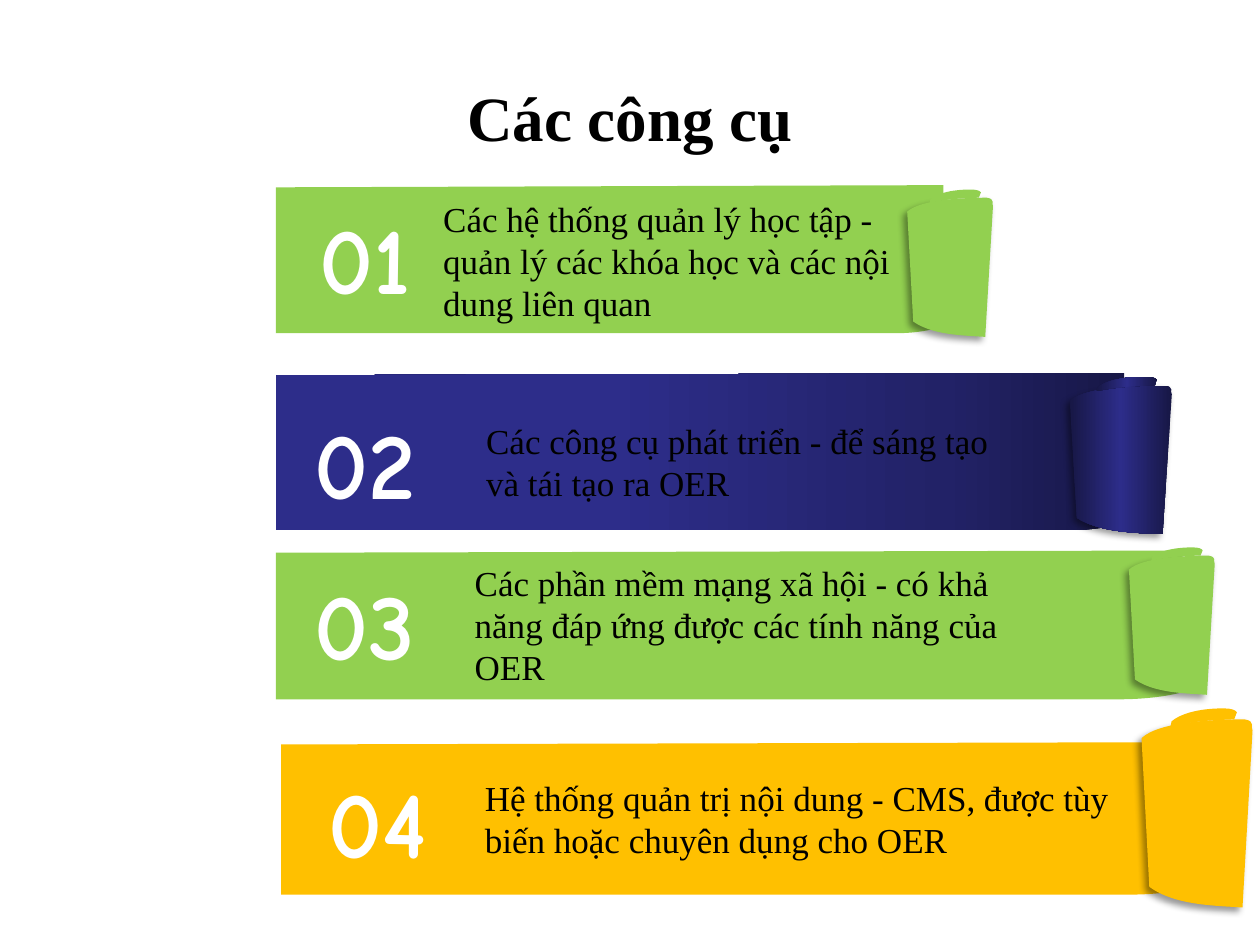
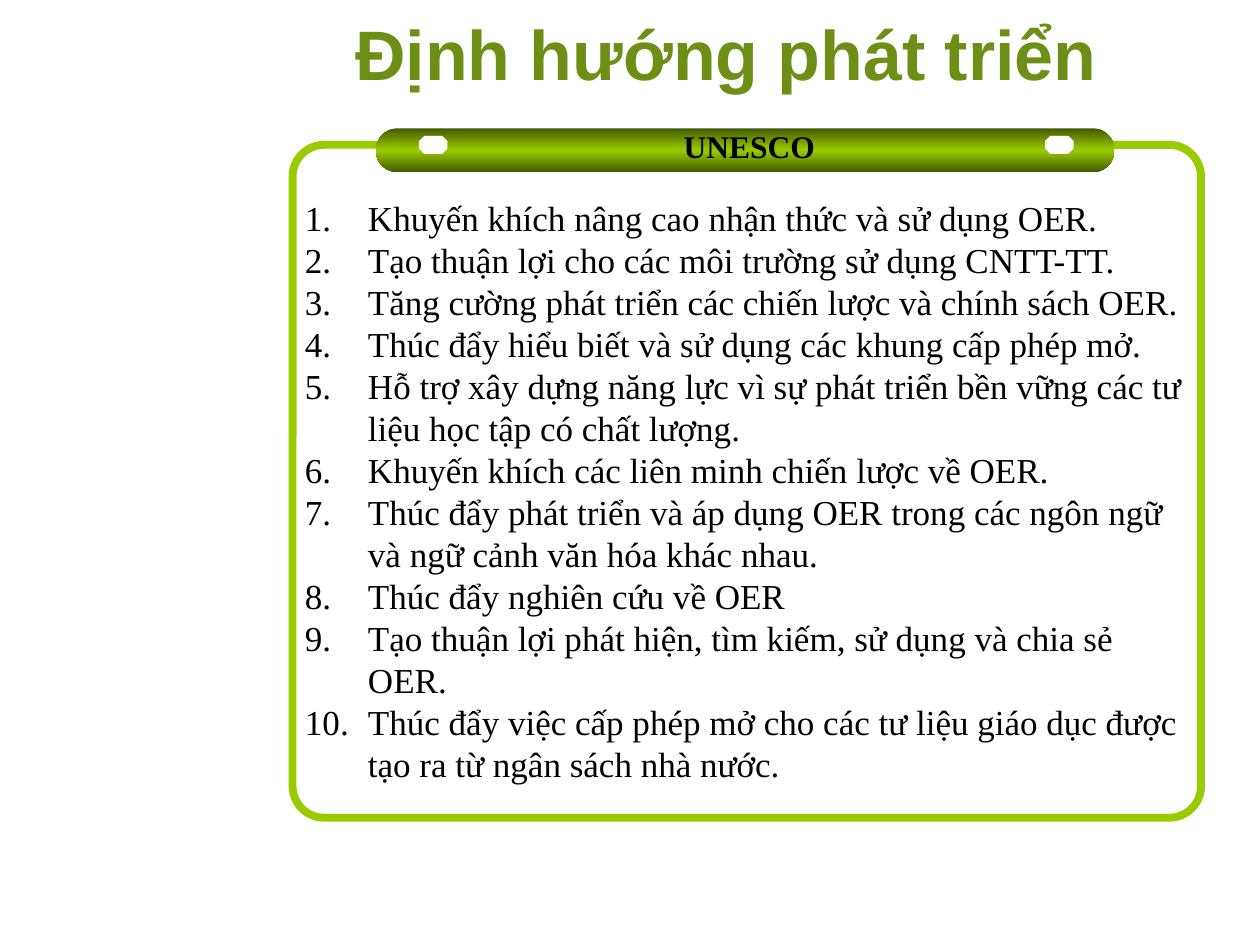
from pptx import Presentation
from pptx.dml.color import RGBColor
from pptx.enum.shapes import MSO_SHAPE
from pptx.enum.text import MSO_ANCHOR, PP_ALIGN
from pptx.oxml import parse_xml
from pptx.oxml.ns import nsdecls, qn
from pptx.util import Pt

SERIF, SANS, ROUND = "Times New Roman", "Arial", "Comic Neue"
BLACK, WHITE, OLIVE = "000000", "FFFFFF", "6E8F15"
LEAF, GOLD, LIME, MOSS = "92D050", "FFC000", "99CC00", "435900"
NIGHT, DUSK, NAVY = "171745", "222267", "2D2D8A"

# Outlines in fractions of their box: a pair is a corner, six numbers a curve.
BAND = [(0, .015), (0, 1), (.92, 1), (.96, 1, .99, .96, 1, .93),
        (1, .62, .99, .31, .99, 0)]
CURL = [(.91, 1), (.67, .99, .3, .99, .07, .89), (0, .1),
        (.16, .01, .67, 0, .93, 0), (1.03, .01, .98, .04, 1, .06)]
FLAP = [(0, 1), (.02, .7), (.25, .03, .7, 0, .83, .02),
        (.91, .02, .98, .1, 1, .22), (.96, .6), (.72, .63, .32, .67, 0, 1)]

NAVY_BAND = [(0, NIGHT), (22, DUSK), (61, NAVY)]
NAVY_CURL = [(0, NIGHT), (50, NAVY), (100, NIGHT)]

# Band box; then number, text and curl boxes relative to the band.
TOOLS = [
    ("01", "Các hệ thống quản lý học tập - quản lý các khóa học và các nội "
     "dung liên quan", LEAF, LEAF, (157.7, 105.8, 385.2, 84.6),
     (10, 4.3), (88.5, 2.9, 272.2, 79.9), (360.7, 7.2, 49, 79.5)),
    ("02", "Các công cụ phát triển - để sáng tạo và tái tạo ra OER",
     NAVY_BAND, NAVY_CURL, (157.7, 213.1, 489.6, 90),
     (10, 14.4), (113, 23.1, 321.1, 55.4), (453.6, 7.2, 58.3, 85)),
    ("03", "Các phần mềm mạng xã hội - có khả năng đáp ứng được các tính "
     "năng của OER", LEAF, LEAF, (157.7, 314.6, 523.4, 85),
     (10, 4.6), (106.5, 2.2, 321.1, 79.9), (487.4, 2.9, 49, 79.5)),
    ("04", "Hệ thống quản trị nội dung - CMS, được tùy biến hoặc chuyên "
     "dụng cho OER", GOLD, GOLD, (160.6, 424.1, 527, 87.1),
     (14.6, 8.7), (109.4, 15.8, 374.4, 55.4), (491.7, -13, 63.4, 107.5)),
]

GOALS = [
    "Khuyến khích nâng cao nhận thức và sử dụng OER.",
    "Tạo thuận lợi cho các môi trường sử dụng CNTT-TT.",
    "Tăng cường phát triển các chiến lược và chính sách OER.",
    "Thúc đẩy hiểu biết và sử dụng các khung cấp phép mở.",
    "Hỗ trợ xây dựng năng lực vì sự phát triển bền vững các tư liệu học tập "
    "có chất lượng.",
    "Khuyến khích các liên minh chiến lược về OER.",
    "Thúc đẩy phát triển và áp dụng OER trong các ngôn ngữ và ngữ cảnh văn "
    "hóa khác nhau.",
    "Thúc đẩy nghiên cứu về OER",
    "Tạo thuận lợi phát hiện, tìm kiếm, sử dụng và chia sẻ OER.",
    "Thúc đẩy việc cấp phép mở cho các tư liệu giáo dục được tạo ra từ ngân "
    "sách nhà nước.",
]


def color(code):
    return RGBColor.from_string(code)


def inset(box, part):
    """Turn a part's box, relative to another box, into slide points."""
    return (box[0] + part[0], box[1] + part[1], *part[2:])


def paint(shape, fill, angle=180):
    """Fill with a colour or with (percent, colour) stops; no line."""
    shape.shadow.inherit = False
    shape.line.fill.background()
    if isinstance(fill, str):
        shape.fill.solid()
        shape.fill.fore_color.rgb = color(fill)
        return
    shape.fill.gradient()
    shape.fill.gradient_angle = angle
    stops = shape.element.spPr.find(qn("a:gradFill")).find(qn("a:gsLst"))
    for old in list(stops):
        stops.remove(old)
    for spot, code in fill:
        stops.append(parse_xml(
            f'<a:gs {nsdecls("a")} pos="{spot * 1000}">'
            f'<a:srgbClr val="{code}"/></a:gs>'))


def shade(shape):
    """Cast a soft shadow down and to the left."""
    effects = shape.element.spPr.find(qn("a:effectLst"))
    effects.append(parse_xml(
        f'<a:outerShdw {nsdecls("a")} blurRad="{Pt(4)}" dist="{Pt(3)}" '
        f'dir="{135 * 60000}" algn="tr" rotWithShape="0">'
        f'<a:srgbClr val="{BLACK}"><a:alpha val="40000"/></a:srgbClr>'
        '</a:outerShdw>'))


def bend(shape, steps):
    """Redraw the shape's outline with corners and cubic curves."""
    route = next(shape.element.iter(qn("a:path")))
    w, h = int(route.get("w")), int(route.get("h"))
    for old in list(route):
        route.remove(old)
    for i, step in enumerate(steps):
        tag = "cubicBezTo" if len(step) == 6 else "lnTo" if i else "moveTo"
        points = "".join(f'<a:pt x="{round(a * w)}" y="{round(b * h)}"/>'
                         for a, b in zip(step[::2], step[1::2]))
        route.append(parse_xml(
            f'<a:{tag} {nsdecls("a")}>{points}</a:{tag}>'))
    route.append(parse_xml(f'<a:close {nsdecls("a")}/>'))


def outline(slide, steps, box, fill):
    x, y, w, h = map(Pt, box)
    pen = slide.shapes.build_freeform(x, y)
    pen.add_line_segments([(x + w, y), (x + w, y + h), (x, y + h)])
    shape = pen.convert_to_shape()
    bend(shape, steps)
    paint(shape, fill)
    return shape


def preset(slide, kind, box, adjust):
    shape = slide.shapes.add_shape(kind, *map(Pt, box))
    shape.adjustments[0] = adjust
    shape.shadow.inherit = False
    return shape


def write(slide, box, lines, size, font=SERIF, ink=BLACK, bold=False,
          align=PP_ALIGN.LEFT, anchor=MSO_ANCHOR.MIDDLE, numbered=False):
    frame = slide.shapes.add_textbox(*map(Pt, box)).text_frame
    frame.word_wrap = True
    frame.vertical_anchor = anchor
    for i, line in enumerate(lines):
        para = frame.add_paragraph() if i else frame.paragraphs[0]
        para.alignment = align
        if numbered:
            props = para._p.get_or_add_pPr()
            props.set("marL", str(Pt(36)))
            props.set("indent", str(-Pt(36)))
            props.append(parse_xml(
                f'<a:buAutoNum {nsdecls("a")} type="arabicPeriod"/>'))
        run = para.add_run()
        run.text = line
        run.font.name = font
        run.font.size = Pt(size)
        run.font.bold = bold
        run.font.color.rgb = color(ink)


def ribbon(slide, tool):
    number, text, fill, roll, box, spot, area, curl = tool
    outline(slide, BAND, box, fill)
    x, y, w, h = curl = inset(box, curl)
    shade(outline(slide, CURL, curl, roll))
    outline(slide, FLAP, (x + .26 * w, y - .06 * h, .6 * w, .1 * h), roll)
    write(slide, inset(box, (*spot, 81.4, 72.7)), [number], 54, ROUND, WHITE,
          bold=True, align=PP_ALIGN.CENTER)
    write(slide, inset(box, area), [text], 20)


def panel(slide, box, head, items):
    frame = preset(slide, MSO_SHAPE.ROUNDED_RECTANGLE, box, .047)
    frame.fill.background()
    frame.line.color.rgb = color(LIME)
    frame.line.width = Pt(4.5)
    bar = preset(slide, MSO_SHAPE.ROUNDED_RECTANGLE,
                 inset(box, (47.6, -9.5, 422, 25.2)), .5)
    paint(bar, [(0, MOSS), (50, LIME), (100, MOSS)], 90)
    for x in (72.2, 430):
        hole = preset(slide, MSO_SHAPE.OCTAGON,
                      inset(box, (x, -5.1, 16.3, 10.2)), .29)
        paint(hole, WHITE)
    write(slide, inset(box, (174.4, -13.8, 173, 29)), [head], 18, bold=True,
          align=PP_ALIGN.CENTER, anchor=MSO_ANCHOR.TOP)
    write(slide, inset(box, (0, 25.8, box[2], 346.3)), items, 20,
          anchor=MSO_ANCHOR.TOP, numbered=True)


def main():
    deck = Presentation()
    deck.slide_width, deck.slide_height = Pt(720), Pt(540)
    blank = deck.slide_layouts[6]

    tools = deck.slides.add_slide(blank)
    write(tools, (36, 21.6, 648, 90), ["Các công cụ"], 36, bold=True,
          align=PP_ALIGN.CENTER)
    for tool in TOOLS:
        ribbon(tools, tool)

    goals = deck.slides.add_slide(blank)
    write(goals, (196, 12.2, 443.5, 36), ["Định hướng phát triển"], 40, SANS,
          OLIVE, bold=True)
    panel(goals, (167.2, 82.8, 519.1, 384.5), "UNESCO", GOALS)

    deck.save("out.pptx")


if __name__ == "__main__":
    main()
